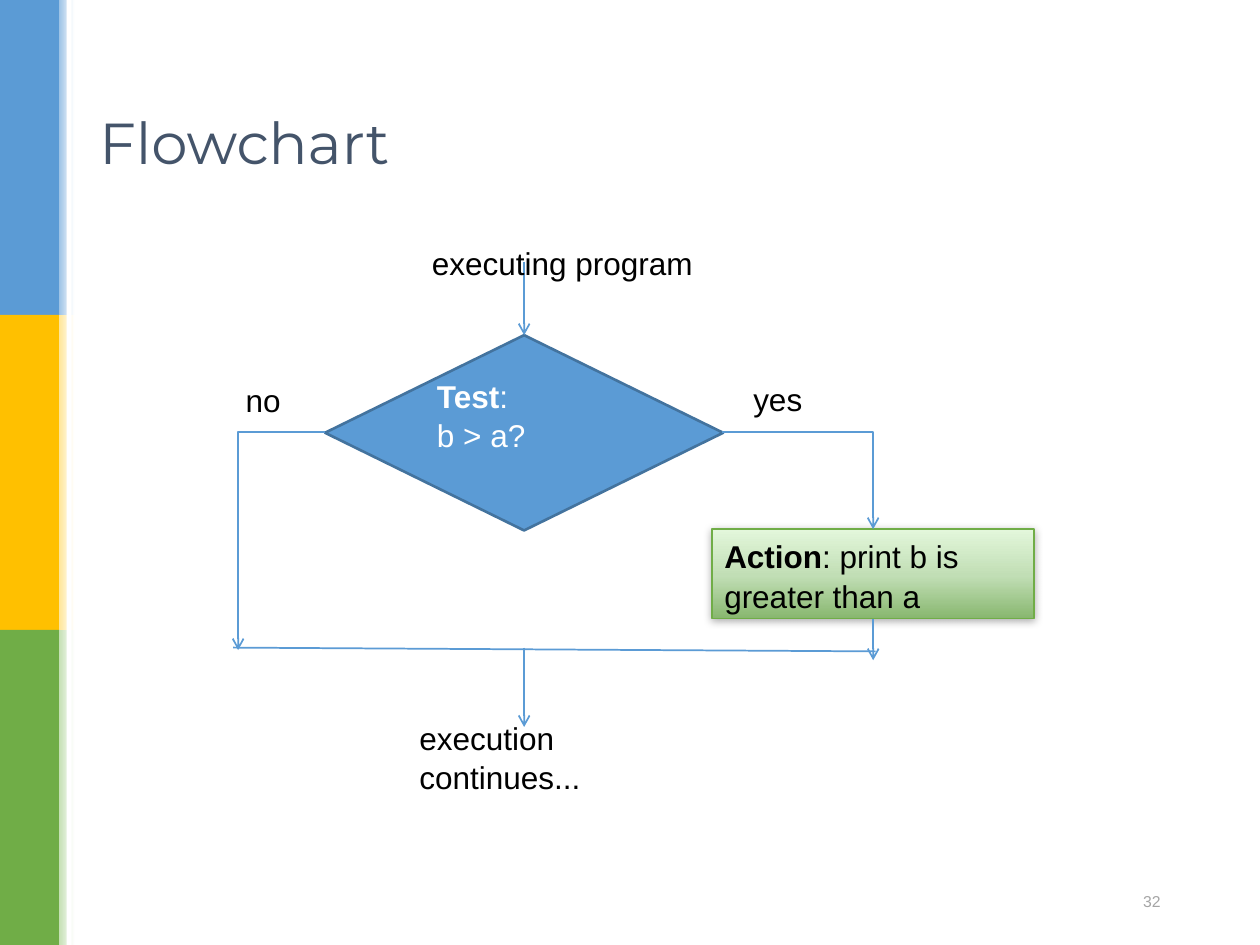
import copy
from dataclasses import dataclass

import pptx
import pptx.util
from lxml import etree
from pptx.dml.color import RGBColor
from pptx.enum.shapes import MSO_CONNECTOR, MSO_SHAPE
from pptx.enum.text import MSO_ANCHOR, PP_ALIGN
from pptx.oxml import parse_xml
from pptx.oxml.ns import nsdecls, qn
from pptx.util import Inches, Pt


@dataclass(frozen=True)
class Theme:
    blue: str = "5B9BD5"
    yellow: str = "FFC000"
    green: str = "70AD47"
    white: str = "FFFFFF"
    black: str = "000000"
    title: str = "44546A"
    number: str = "A5A5A5"
    decision_line: str = "43739E"
    pale_bands: tuple = ("9DC3E6", "FFE699", "C5E0B4")
    action_fill: tuple = ((0, "88B76F"), (0.48, "C1DEB5"), (1, "E3F7DB"))
    title_size: int = 33
    body_size: int = 18
    number_size: int = 9
    title_font: str = "Montserrat"
    body_font: str = "Arial"


theme = Theme()


def fill_gradient(shape, stops, angle):
    """Fill with (position, colour) stops; angle runs counter-clockwise."""
    shape.fill.gradient()
    shape.fill.gradient_angle = angle
    stop_list = shape.fill._fill._gradFill.find(qn("a:gsLst"))
    while len(stop_list) < len(stops):
        stop_list.append(copy.deepcopy(stop_list[0]))
    for gradient_stop, (position, colour) in zip(shape.fill.gradient_stops, stops):
        gradient_stop.position = position
        gradient_stop.color.rgb = RGBColor.from_string(colour)


def write(shape, lines, colour, size=theme.body_size, font=theme.body_font,
          anchor=MSO_ANCHOR.TOP, align=PP_ALIGN.LEFT, wrap=False, spacing=None):
    """Write lines, each a list of (text, bold) runs."""
    frame = shape.text_frame
    frame.word_wrap = wrap
    frame.vertical_anchor = anchor
    for index, runs in enumerate(lines):
        paragraph = frame.add_paragraph() if index else frame.paragraphs[0]
        paragraph.alignment = align
        paragraph.line_spacing = spacing
        paragraph.font.size = Pt(size)
        paragraph.font.name = font
        paragraph.font.color.rgb = RGBColor.from_string(colour)
        for text, bold in runs:
            run = paragraph.add_run()
            run.text = text
            if bold:
                run.font.bold = True


presentation = pptx.Presentation()
presentation.slide_width = Inches(10)
presentation.slide_height = Inches(7.5)
slide = presentation.slides.add_slide(presentation.slide_layouts[6])
shapes = slide.shapes

# Colour bands down the left edge, each fading out to the right
band_height = 2.5
bands = zip((theme.blue, theme.yellow, theme.green), theme.pale_bands)
for row, (colour, pale) in enumerate(bands):
    top = Inches(row * band_height)
    band = shapes.add_shape(MSO_SHAPE.RECTANGLE, 0, top, Inches(0.47), Inches(band_height))
    band.fill.solid()
    band.fill.fore_color.rgb = RGBColor.from_string(colour)
    fade = shapes.add_shape(MSO_SHAPE.RECTANGLE, Inches(0.47), top, Inches(0.12),
                            Inches(band_height))
    fill_gradient(fade, ((0, pale), (1, theme.white)), 0)
    for part in (band, fade):
        part.line.fill.background()
        part.shadow.inherit = False

gap = shapes.add_shape(MSO_SHAPE.RECTANGLE, Inches(0.53), 0, Inches(0.04), Inches(7.5))
gap.fill.solid()
gap.fill.fore_color.rgb = RGBColor.from_string(theme.white)
gap.line.fill.background()
gap.shadow.inherit = False

# Title and slide number
title = shapes.add_textbox(Inches(0.69), Inches(0.4), Inches(8.62), Inches(1.45))
write(title, [[("Flowchart", False)]], theme.title, theme.title_size, theme.title_font,
      anchor=MSO_ANCHOR.MIDDLE, wrap=True)
number = shapes.add_textbox(Inches(6.62), Inches(6.95), Inches(2.69), Inches(0.4))
write(number, [[("32", False)]], theme.number, theme.number_size,
      anchor=MSO_ANCHOR.MIDDLE, align=PP_ALIGN.RIGHT, wrap=True)

# Action box with a soft shadow
action = shapes.add_shape(MSO_SHAPE.RECTANGLE, Inches(5.65), Inches(4.2), Inches(2.56),
                          Inches(0.71))
fill_gradient(action, theme.action_fill, 90)
action.line.color.rgb = RGBColor.from_string(theme.green)
action.line.width = Pt(1)
action.shadow.inherit = False
action._element.spPr.find(qn("a:effectLst")).append(parse_xml(
    f'<a:outerShdw {nsdecls("a")} blurRad="{Pt(5)}" dist="{Pt(1)}" dir="5400000" '
    f'rotWithShape="0"><a:srgbClr val="{theme.black}"><a:alpha val="32000"/>'
    '</a:srgbClr></a:outerShdw>'))
write(action, [[("Action", True), (": print b is", False)], [("greater than a", False)]],
      theme.black, spacing=1.05)

# Decision, with its text raised above the middle
decision = shapes.add_shape(MSO_SHAPE.FLOWCHART_DECISION, Inches(2.58), Inches(2.66),
                            Inches(3.16), Inches(1.55))
decision.fill.solid()
decision.fill.fore_color.rgb = RGBColor.from_string(theme.blue)
decision.line.color.rgb = RGBColor.from_string(theme.decision_line)
decision.line.width = Pt(1.5)
decision.shadow.inherit = False
write(decision, [[("Test", True), (":", False)], [("b > a?", False)]], theme.white,
      anchor=MSO_ANCHOR.MIDDLE, wrap=True, spacing=1.05)
decision.text_frame.margin_bottom = Inches(0.34)

# Flow lines: start, end, bent, arrowhead
flows = (
    ((5.73, 3.43), (6.93, 4.2), True, True),
    ((4.16, 2.08), (4.16, 2.66), False, True),
    ((2.58, 3.43), (1.89, 5.16), True, True),
    ((4.16, 5.14), (4.16, 5.77), False, True),
    ((1.85, 5.14), (6.95, 5.17), False, False),
    ((6.93, 4.91), (6.93, 5.24), False, True),
)
for start, end, bent, arrow in flows:
    route = MSO_CONNECTOR.ELBOW if bent else MSO_CONNECTOR.STRAIGHT
    flow = shapes.add_connector(route, *map(Inches, start + end))
    flow.line.color.rgb = RGBColor.from_string(theme.blue)
    flow.line.width = Pt(1)
    properties = flow._element.spPr
    if bent:
        properties.find(qn("a:prstGeom")).set("prst", "bentConnector2")
    if arrow:
        etree.SubElement(properties.find(qn("a:ln")), qn("a:tailEnd"), type="arrow")
    etree.SubElement(properties, qn("a:effectLst"))

# Labels beside the flow lines
labels = (
    ("yes", 5.88, 2.95, 0.75),
    ("executing program", 3.33, 1.87, 2.34),
    ("no", 1.85, 2.96, 0.75),
    ("execution continues...", 3.23, 5.64, 2.34),
)
for text, left, top, width in labels:
    label = shapes.add_textbox(Inches(left), Inches(top), Inches(width), Inches(0.5))
    write(label, [[(text, False)]], theme.black, spacing=1.05)

presentation.save("out.pptx")
